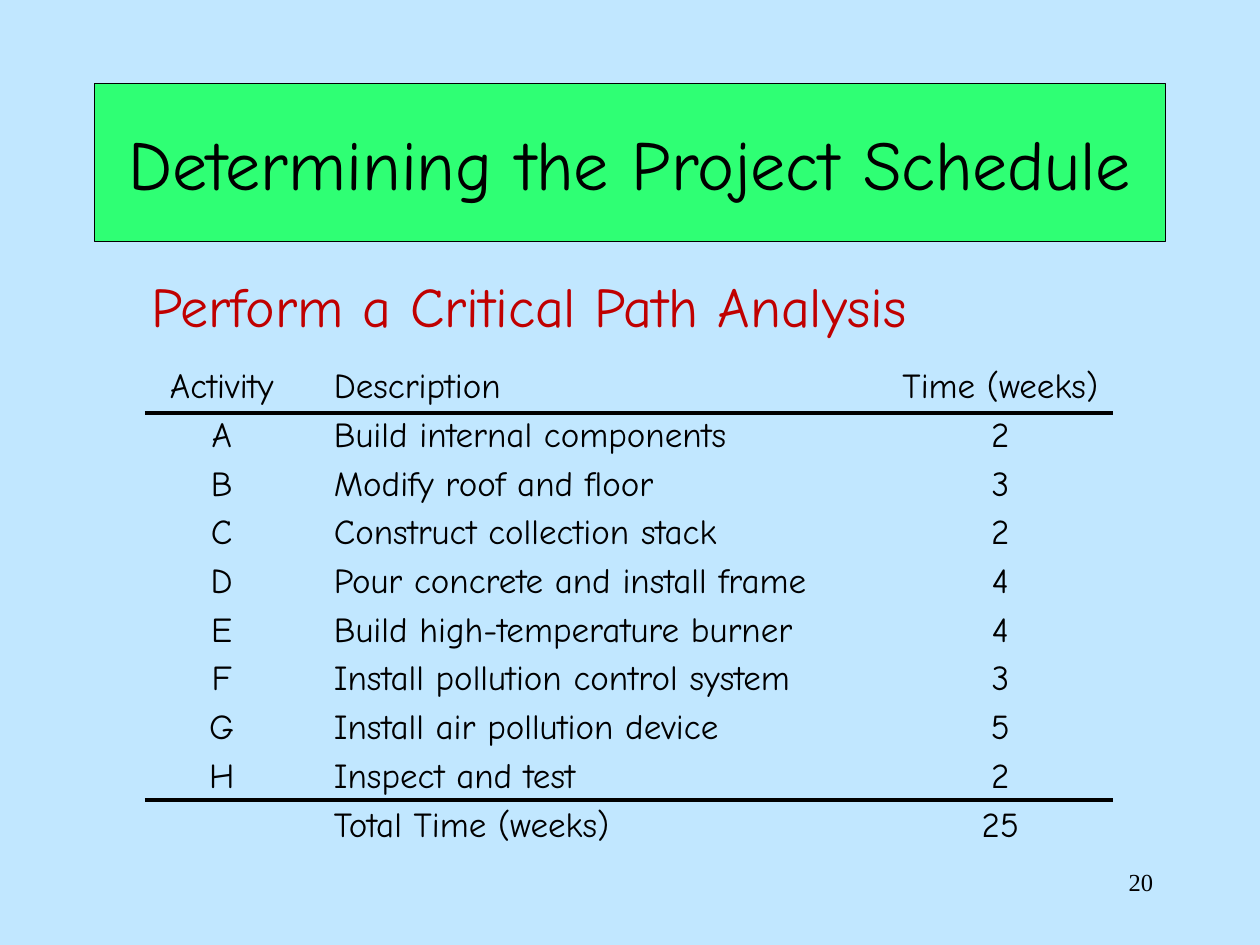
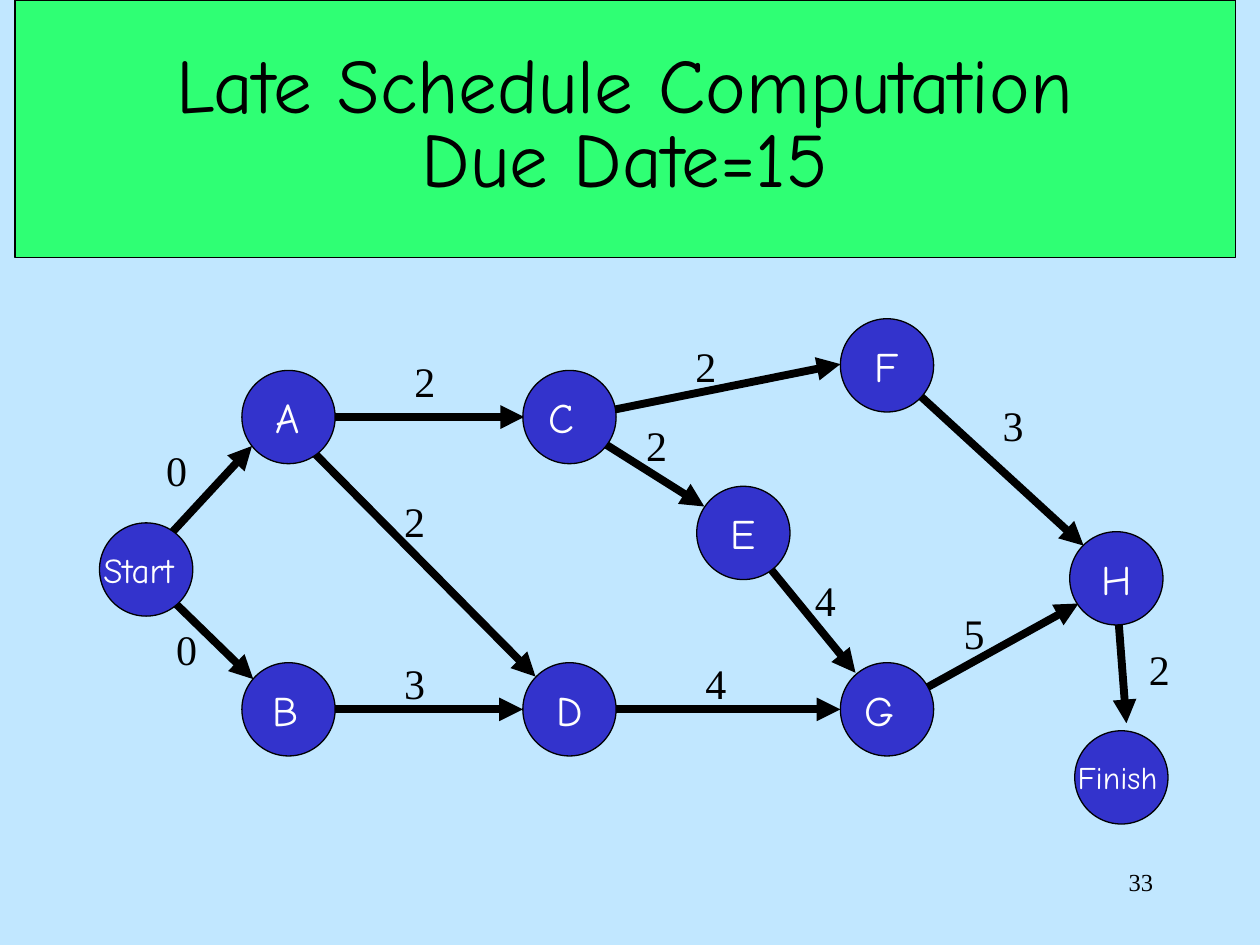
from lxml import etree
from pptx import Presentation
from pptx import util as u
from pptx.dml import color
from pptx.enum import shapes, text
from pptx.oxml import ns

# Shared grid (100 columns by 75 rows) and look
WIDTH, HEIGHT = u.Inches(10), u.Inches(7.5)
COLUMN, ROW = WIDTH / 100, HEIGHT / 75
COLORS = {
    "background": "C1E7FF", "band": "2FFF74", "ink": "000000",
    "heading": "C00000", "node": "3333CC", "node_text": "FFFFFF",
}
SCRIPT, SERIF = "Comic Neue", "Times New Roman"
LEFT, CENTER, RIGHT = text.PP_ALIGN.LEFT, text.PP_ALIGN.CENTER, text.PP_ALIGN.RIGHT
TOP, MIDDLE = text.MSO_ANCHOR.TOP, text.MSO_ANCHOR.MIDDLE

# Activity table
ACTIVITIES = [
    ("Activity", "Description", "Time (weeks)"),
    ("A", "Build internal components", "2"),
    ("B", "Modify roof and floor", "3"),
    ("C", "Construct collection stack", "2"),
    ("D", "Pour concrete and install frame", "4"),
    ("E", "Build high-temperature burner", "4"),
    ("F", "Install pollution control system", "3"),
    ("G", "Install air pollution device", "5"),
    ("H", "Inspect and test", "2"),
    ("", "Total Time (weeks)", "25"),
]
TABLE_COLUMNS = [(12.2, CENTER, 0), (46.8, LEFT, 2.8), (17.8, CENTER, 0)]
TABLE_LEFT, TABLE_TOP, TABLE_ROW = 11.5, 28.8, 3.87
RULES = (32.8, 63.5)

# Network: node -> left, top, text size, shift of the text to the left
NODE_SIZE = 7.4
NODES = {
    "Start": (7.9, 41.5, 20, 0.6), "A": (19.2, 29.4, 24, 0.1),
    "B": (19.2, 52.6, 24, 0.2), "C": (41.5, 29.4, 24, 0.6),
    "D": (41.5, 52.6, 24, 0), "E": (55.3, 38.6, 24, 0),
    "F": (66.7, 25.3, 24, 0), "G": (66.7, 52.6, 24, 0.6),
    "H": (84.9, 42.2, 24, 0), "Finish": (85.3, 58, 18, 0.3),
}
# Ends of the arrow, weeks, left and top of the label
EDGES = [
    ((12.6, 43.4), (20, 35.4), "0", 12.2, 34.8),       # Start to A
    ((12.7, 46.7), (20.1, 53.9), "0", 13, 49),         # Start to B
    ((24.9, 33.1), (41.6, 33.1), "2", 31.9, 27.7),     # A to C
    ((24, 35), (42.5, 53.7), "2", 31.1, 38.8),         # A to D
    ((24.9, 56.3), (41.5, 56.3), "3", 31.1, 51.7),     # B to D
    ((47.3, 32.8), (66.7, 28.9), "2", 54.2, 26.5),     # C to F
    ((47.8, 35.1), (55.9, 40.2), "2", 50.3, 32.8),     # C to E
    ((47.2, 56.3), (66.7, 56.3), "4", 55, 51.7),       # D to G
    ((60.3, 44.1), (67.9, 53.4), "4", 63.7, 45.1),     # E to G
    ((71.6, 30.1), (86, 43.3), "3", 78.6, 31.2),       # F to H
    ((72.6, 55.1), (85.6, 47.9), "5", 75.5, 47.7),     # G to H
    ((88.8, 49.6), (89.4, 57.4), "2", 90.2, 50.6),     # H to Finish
]


def rgb(name):
    return color.RGBColor.from_string(COLORS[name])


def cells(left, top, width, height):
    """Turn columns and rows into lengths."""
    return [u.Emu(round(value)) for value in
            (left * COLUMN, top * ROW, width * COLUMN, height * ROW)]


def set_all(target, **values):
    for name, value in values.items():
        setattr(target, name, value)


def write(frame, words, size, font=SCRIPT, ink="ink", align=LEFT, spacing=None):
    paragraph = frame.paragraphs[0]
    paragraph.text = words
    set_all(paragraph, alignment=align, line_spacing=spacing)
    set_all(paragraph.font, name=font, size=u.Pt(size))
    paragraph.font.color.rgb = rgb(ink)


def add_label(slide, box, words, size, wrap=False, **look):
    frame = slide.shapes.add_textbox(*cells(*box)).text_frame
    set_all(frame, word_wrap=wrap, vertical_anchor=TOP)
    write(frame, words, size, **look)


def add_filled(slide, kind, box, fill):
    shape = slide.shapes.add_shape(kind, *cells(*box))
    shape.shadow.inherit = False
    shape.fill.solid()
    shape.fill.fore_color.rgb = rgb(fill)
    shape.line.color.rgb = rgb("ink")
    shape.line.width = u.Pt(0.75)
    shape.text_frame.vertical_anchor = MIDDLE
    return shape


def add_line(slide, start, end, weight, arrow=False):
    connector = slide.shapes.add_connector(
        shapes.MSO_CONNECTOR.STRAIGHT, *cells(*start, *end))
    connector.line.color.rgb = rgb("ink")
    connector.line.width = u.Pt(weight)
    properties = connector._element.spPr
    if arrow:
        etree.SubElement(properties.find(ns.qn("a:ln")), ns.qn("a:tailEnd"),
                         type="triangle")
    etree.SubElement(properties, ns.qn("a:effectLst"))


def add_slide(presentation, title, band, size, number, spacing=None):
    """Blank slide with background, title band and slide number."""
    slide = presentation.slides.add_slide(presentation.slide_layouts[6])
    slide.background.fill.solid()
    slide.background.fill.fore_color.rgb = rgb("background")
    shape = add_filled(slide, shapes.MSO_SHAPE.RECTANGLE, band, "band")
    write(shape.text_frame, title, size, align=CENTER, spacing=spacing)
    add_label(slide, (71.7, 68.3, 20.8, 5), number, 14, wrap=True,
              font=SERIF, align=RIGHT)
    return slide


def clear_cell(cell):
    """Leave the cell without borders and fill."""
    properties = cell._tc.get_or_add_tcPr()
    for side in "LRTB":
        line = etree.SubElement(properties, ns.qn(f"a:ln{side}"))
        etree.SubElement(line, ns.qn("a:noFill"))
    cell.fill.background()


def add_activity_table(slide):
    width = sum(column[0] for column in TABLE_COLUMNS)
    box = cells(TABLE_LEFT, TABLE_TOP, width, TABLE_ROW * len(ACTIVITIES))
    table = slide.shapes.add_table(len(ACTIVITIES), len(TABLE_COLUMNS), *box).table
    set_all(table, first_row=False, horz_banding=False)
    for column, (column_width, _, _) in zip(table.columns, TABLE_COLUMNS):
        column.width = u.Emu(round(column_width * COLUMN))
    for row, activity in zip(table.rows, ACTIVITIES):
        row.height = u.Emu(round(TABLE_ROW * ROW))
        for cell, words, (_, align, indent) in zip(row.cells, activity, TABLE_COLUMNS):
            clear_cell(cell)
            set_all(cell, margin_left=u.Emu(round(indent * COLUMN)), margin_right=0,
                    margin_top=0, margin_bottom=0, vertical_anchor=MIDDLE)
            write(cell.text_frame, words, 20, align=align)
    for rule in RULES:
        add_line(slide, (TABLE_LEFT, rule), (TABLE_LEFT + width, rule), 2.25)


def add_node(slide, name, left, top, size, shift):
    shape = add_filled(slide, shapes.MSO_SHAPE.OVAL,
                       (left, top, NODE_SIZE, NODE_SIZE), "node")
    set_all(shape.text_frame, word_wrap=False, margin_left=0, margin_top=0,
            margin_bottom=0, margin_right=u.Emu(round(2 * shift * COLUMN)))
    write(shape.text_frame, name, size, ink="node_text", align=CENTER)


def add_network(slide):
    # Arrows start under the nodes, so they come first
    for start, end, *_ in EDGES:
        add_line(slide, start, end, 4.5, arrow=True)
    for name, place in NODES.items():
        add_node(slide, name, *place)
    for _, _, weeks, left, top in EDGES:
        add_label(slide, (left, top, 3.6, 5), weeks, 24, font=SERIF)


def main():
    presentation = Presentation()
    set_all(presentation, slide_width=WIDTH, slide_height=HEIGHT)

    # Activities and times
    slide = add_slide(presentation, "Determining the Project Schedule",
                      (7.5, 6.65, 85, 12.5), 40, "20")
    add_label(slide, (11.05, 21.05, 62.4, 6.4), "Perform a Critical Path Analysis",
              32, ink="heading")
    add_activity_table(slide)

    # Activity network
    slide = add_slide(presentation, "Late Schedule Computation\vDue Date=15",
                      (1.2, 0, 96.85, 20.42), 44, "33", spacing=0.8)
    add_network(slide)

    presentation.save("out.pptx")


if __name__ == "__main__":
    main()
